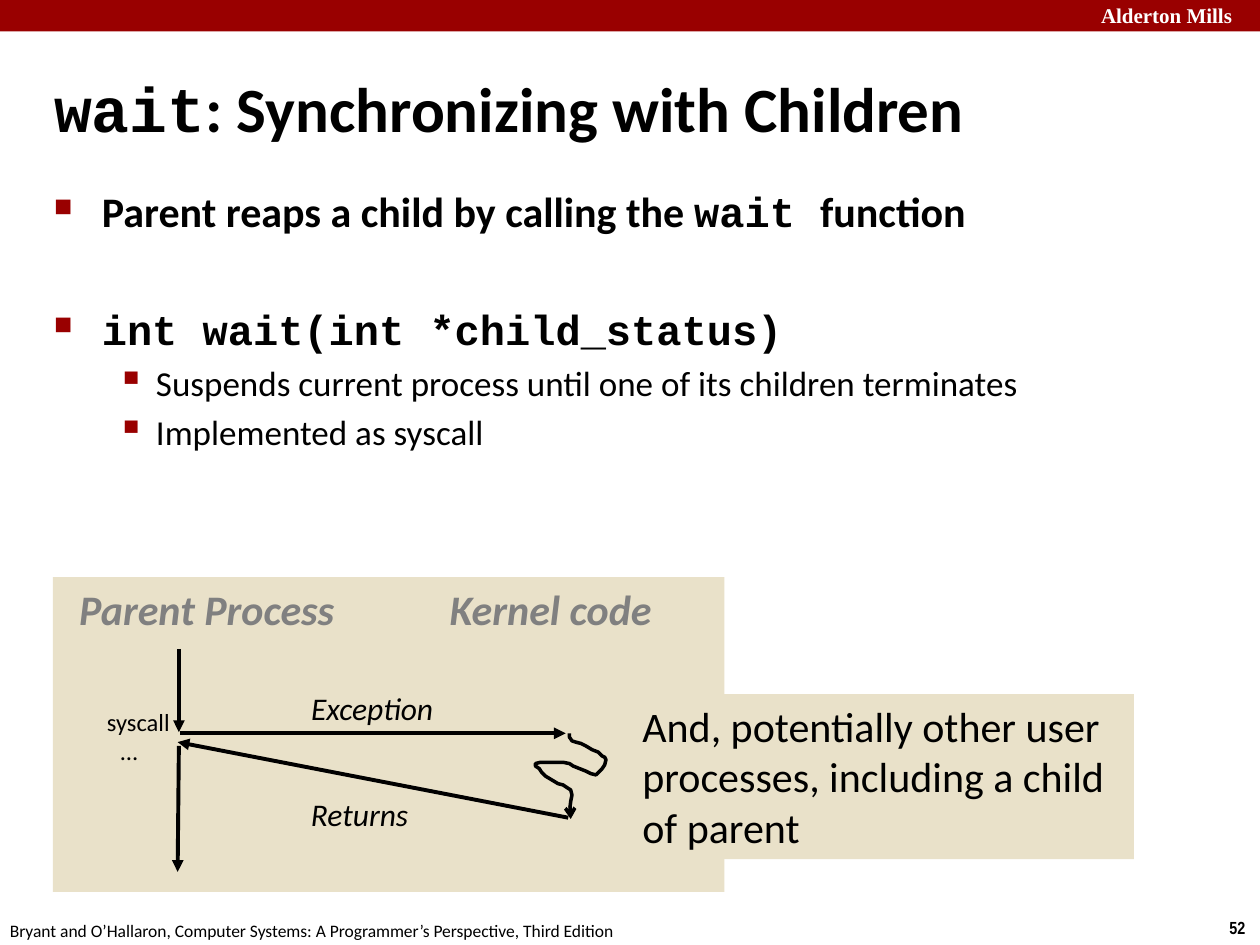
import pptx
import pptx.util
import pptx.dml.color
import pptx.enum.shapes
import pptx.enum.text
import pptx.oxml.ns
from lxml import etree

INK = {"red": "990000", "sand": "E9E1C9", "gray": "808080",
       "black": "000000", "white": "FFFFFF"}
SANS, CODE = "Calibri", "Courier New"

TITLE = [("wait", CODE), (": Synchronizing with Children", SANS)]
BODY = [
    (0, 4.8, [("Parent reaps a child by calling the ", SANS),
              ("wait ", CODE), ("function", SANS)]),
    (0, 38.9, [("int wait(int *child_status)", CODE)]),
    (1, 4, [("Suspends current process until one of its children terminates", SANS)]),
    (1, 4, [("Implemented as syscall", SANS)]),
]
LEVELS = [
    {"left": 0.38, "hang": 0.38, "mark": "■", "scale": 60, "size": 24, "bold": True},
    {"left": 0.81, "hang": 0.31, "mark": "▪", "scale": 110, "size": 20, "bold": False},
]
PANELS = [
    ((0, 0, 10, 0.25), "red"),
    ((0.42, 4.58, 5.33, 2.5), "sand"),
    ((5, 5.51, 4, 1.31), "sand"),
]
HEAD = {"size": 24, "ink": "gray", "bold": True, "italic": True}
STEP = {"size": 18, "italic": True}
NOTES = [
    ("Alderton Mills", (8.64, -0.03, 1.43, 0.3),
     {"size": 12, "face": "Times New Roman", "ink": "white", "bold": True}),
    ("52", (9.66, 7.23, 0.34, 0.27),
     {"size": 10, "face": "Arial Narrow", "bold": True, "wrap": False}),
    ("Bryant and O’Hallaron, Computer Systems: A Programmer’s Perspective, Third Edition",
     (-0.02, 7.25, 5.08, 0.27), {"size": 10, "wrap": False}),
    ("Parent Process", (0.53, 4.58, 2.24, 0.5), {**HEAD, "wrap": False}),
    ("Kernel code", (3.47, 4.58, 1.95, 0.5), {**HEAD, "wrap": False}),
    ("Exception", (2.37, 5.42, 1.25, 0.4), STEP),
    ("Returns", (2.37, 6.26, 1, 0.4), STEP),
    ("syscall", (0.75, 5.56, 0.71, 0.34), {"size": 14, "wrap": False}),
    ("…", (0.86, 5.79, 0.35, 0.34), {"size": 14, "wrap": False}),
    ("And, potentially other user processes, including a child of parent",
     PANELS[2][0], {"size": 24}),
]
FLOWS = [
    (1.42, 5.15, 1.42, 5.81),
    (1.43, 5.82, 4.49, 5.82),
    (4.51, 6.49, 1.41, 5.89),
    (1.42, 5.92, 1.41, 6.92),
]
SQUIGGLE = [
    (4.52, 5.82), (4.52, 5.85), (4.54, 5.88), (4.57, 5.89), (4.61, 5.9),
    (4.65, 5.92), (4.7, 5.95), (4.75, 5.97), (4.78, 6), (4.8, 6.01),
    (4.81, 6.03), (4.8, 6.07), (4.78, 6.1), (4.75, 6.13), (4.73, 6.15),
    (4.69, 6.14), (4.65, 6.12), (4.6, 6.1), (4.55, 6.08), (4.52, 6.06),
    (4.47, 6.05), (4.41, 6.05), (4.29, 6.05), (4.25, 6.06), (4.25, 6.08),
    (4.28, 6.1), (4.3, 6.13), (4.33, 6.16), (4.38, 6.19), (4.43, 6.22),
    (4.47, 6.23), (4.5, 6.25), (4.53, 6.27), (4.54, 6.31), (4.53, 6.36),
    (4.52, 6.44), (4.53, 6.5),
]


def inches(box):
    return [pptx.util.Inches(n) for n in box]


def rgb(ink):
    return pptx.dml.color.RGBColor.from_string(INK[ink])


def style(font, size, face=SANS, ink="black", bold=False, italic=False):
    font.size, font.name = pptx.util.Pt(size), face
    font.bold, font.italic = bold, italic
    font.color.rgb = rgb(ink)


def node(parent, tag, **attrs):
    item = etree.SubElement(parent, pptx.oxml.ns.qn(tag))
    for key, val in attrs.items():
        item.set(key, str(val))
    return item


def write(para, parts, size, bold):
    faces = {face for _, face in parts}
    if len(faces) == 1:
        style(para.font, size, parts[0][1], bold=bold)
    for text, face in parts:
        run = para.add_run()
        run.text = text
        if len(faces) > 1:
            style(run.font, size, face, bold=bold)


def bullet(para, level):
    props = para._p.get_or_add_pPr()
    props.set("marL", str(pptx.util.Inches(level["left"])))
    props.set("indent", str(-pptx.util.Inches(level["hang"])))
    node(node(props, "a:buClr"), "a:srgbClr", val=INK["red"])
    node(props, "a:buSzPct", val=level["scale"] * 1000)
    node(props, "a:buChar", char=level["mark"])


def panel(slide, box, ink):
    rect = slide.shapes.add_shape(pptx.enum.shapes.MSO_SHAPE.RECTANGLE, *inches(box))
    rect.shadow.inherit = False
    rect.fill.solid()
    rect.fill.fore_color.rgb = rgb(ink)
    rect.line.fill.background()


def label(slide, text, box, wrap=True, **look):
    frame = slide.shapes.add_textbox(*inches(box)).text_frame
    frame.word_wrap = wrap
    para = frame.paragraphs[0]
    para.text = text
    style(para.font, **look)


def stroke(line, width, tip):
    line.color.rgb = rgb("black")
    line.width = pptx.util.Pt(width)
    node(line._get_or_add_ln(), "a:tailEnd", type=tip)


def main():
    deck = pptx.Presentation()
    deck.slide_width, deck.slide_height = inches((10, 7.5))
    slide = deck.slides.add_slide(deck.slide_layouts[5])

    title = slide.shapes.title
    title.left, title.top, title.width, title.height = inches((0.33, 0.54, 9.08, 0.63))
    frame = title.text_frame
    frame.auto_size = pptx.enum.text.MSO_AUTO_SIZE.NONE
    frame.vertical_anchor = pptx.enum.text.MSO_ANCHOR.MIDDLE
    frame.paragraphs[0].alignment = pptx.enum.text.PP_ALIGN.LEFT
    write(frame.paragraphs[0], TITLE, 36, True)

    frame = slide.shapes.add_textbox(*inches((0.33, 1.42, 9.03, 2.42))).text_frame
    frame.word_wrap = True
    for row, (depth, gap, parts) in enumerate(BODY):
        para = frame.add_paragraph() if row else frame.paragraphs[0]
        level = LEVELS[depth]
        para.level = depth
        bullet(para, level)
        para.space_before = pptx.util.Pt(gap)
        write(para, parts, level["size"], level["bold"])

    for box, ink in PANELS:
        panel(slide, box, ink)

    for ends in FLOWS:
        flow = slide.shapes.add_connector(
            pptx.enum.shapes.MSO_CONNECTOR.STRAIGHT, *inches(ends))
        stroke(flow.line, 2.25, "triangle")
        node(flow._element.spPr, "a:effectLst")

    points = [inches(spot) for spot in SQUIGGLE]
    pen = slide.shapes.build_freeform(*points[0])
    pen.add_line_segments(points[1:], close=False)
    curve = pen.convert_to_shape()
    curve.shadow.inherit = False
    curve.fill.background()
    stroke(curve.line, 2, "arrow")

    for text, box, look in NOTES:
        label(slide, text, box, **look)

    deck.save("out.pptx")


if __name__ == "__main__":
    main()
